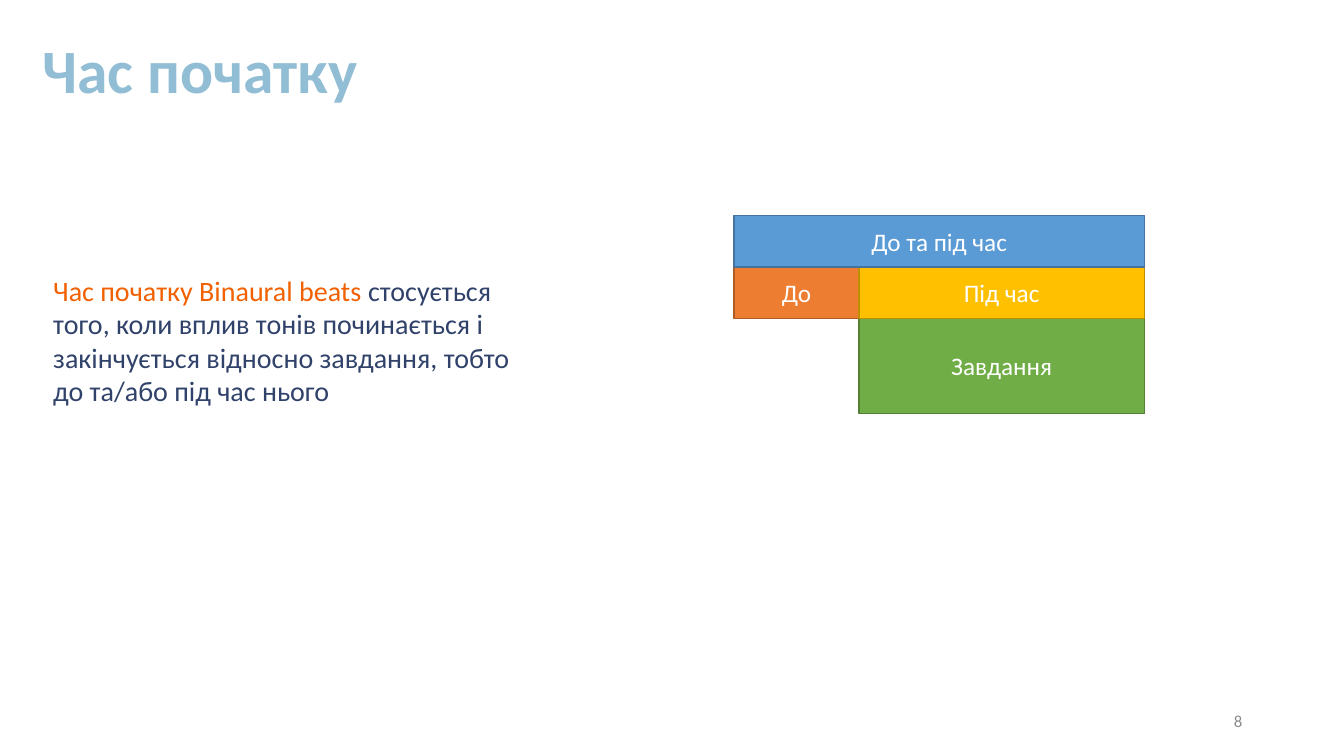
import pptx
import pptx.dml.color
import pptx.enum.shapes
import pptx.enum.text
import pptx.util

EMU_PER_PX = 9144
COLORS = {
    "title": "91BED5",
    "accent": "F16101",
    "body": "30426A",
    "number": "8C8C8C",
    "white": "FFFFFF",
    "task": "70AD47",
    "task_line": "538035",
    "before": "ED7D31",
    "before_line": "AF5C24",
    "during": "FFC000",
    "during_line": "BD8E00",
    "both": "5B9BD5",
    "both_line": "43739E",
}
ALIGN = pptx.enum.text.PP_ALIGN
ANCHOR = pptx.enum.text.MSO_ANCHOR


def px(value):
    return pptx.util.Emu(value * EMU_PER_PX)


def color(name):
    return pptx.dml.color.RGBColor.from_string(COLORS[name])


class SlideBuilder:
    font_name = "Calibri"

    def __init__(self, presentation):
        self.slide = presentation.slides.add_slide(presentation.slide_layouts[5])

    def fill_text(self, shape, runs, size, align=ALIGN.LEFT, anchor=ANCHOR.MIDDLE):
        frame = shape.text_frame
        frame.word_wrap = True
        frame.auto_size = pptx.enum.text.MSO_AUTO_SIZE.NONE
        frame.vertical_anchor = anchor
        paragraph = frame.paragraphs[0]
        paragraph.alignment = align
        paragraph.font.name = self.font_name
        paragraph.font.size = pptx.util.Pt(size)
        for text, color_name in runs:
            run = paragraph.add_run()
            run.text = text
            run.font.color.rgb = color(color_name)
        return paragraph

    def title(self, text, left, top, width, height):
        shape = self.slide.shapes.title
        shape.left, shape.top = px(left), px(top)
        shape.width, shape.height = px(width), px(height)
        paragraph = self.fill_text(shape, [(text, "title")], 44)
        paragraph.font.bold = True
        paragraph.line_spacing = 0.9

    def text(self, runs, left, top, width, height, size, **layout):
        shape = self.slide.shapes.add_textbox(px(left), px(top), px(width), px(height))
        self.fill_text(shape, runs, size, **layout)

    def block(self, text, name, left, top, width, height):
        shape = self.slide.shapes.add_shape(
            pptx.enum.shapes.MSO_SHAPE.RECTANGLE,
            px(left), px(top), px(width), px(height),
        )
        shape.shadow.inherit = False
        shape.fill.solid()
        shape.fill.fore_color.rgb = color(name)
        shape.line.color.rgb = color(name + "_line")
        shape.line.width = pptx.util.Pt(1)
        self.fill_text(shape, [(text, "white")], 18, align=ALIGN.CENTER)


def main():
    presentation = pptx.Presentation()
    presentation.slide_width = px(1333)
    presentation.slide_height = px(750)
    builder = SlideBuilder(presentation)

    builder.title("Час початку", 32, 0, 754, 145)
    definition = [
        ("Час початку Binaural beats ", "accent"),
        ("стосується того, коли вплив тонів починається і закінчується "
         "відносно завдання, тобто до та/або під час нього", "body"),
    ]
    builder.text(definition, 43, 266, 503, 176, 20, anchor=ANCHOR.TOP)

    left, top, row_height = 728, 214, 51
    before_width, during_width, task_height = 124, 283, 94
    split = left + before_width
    middle = top + row_height
    bottom = middle + row_height
    builder.block("Завдання", "task", split, bottom, during_width, task_height)
    builder.block("До", "before", left, middle, before_width, row_height)
    builder.block("Під час", "during", split, middle, during_width, row_height)
    builder.block("До та під час", "both", left, top,
                  before_width + during_width, row_height)

    builder.text([("8", "number")], 942, 695, 300, 40, 12, align=ALIGN.RIGHT)
    presentation.save("out.pptx")


if __name__ == "__main__":
    main()
